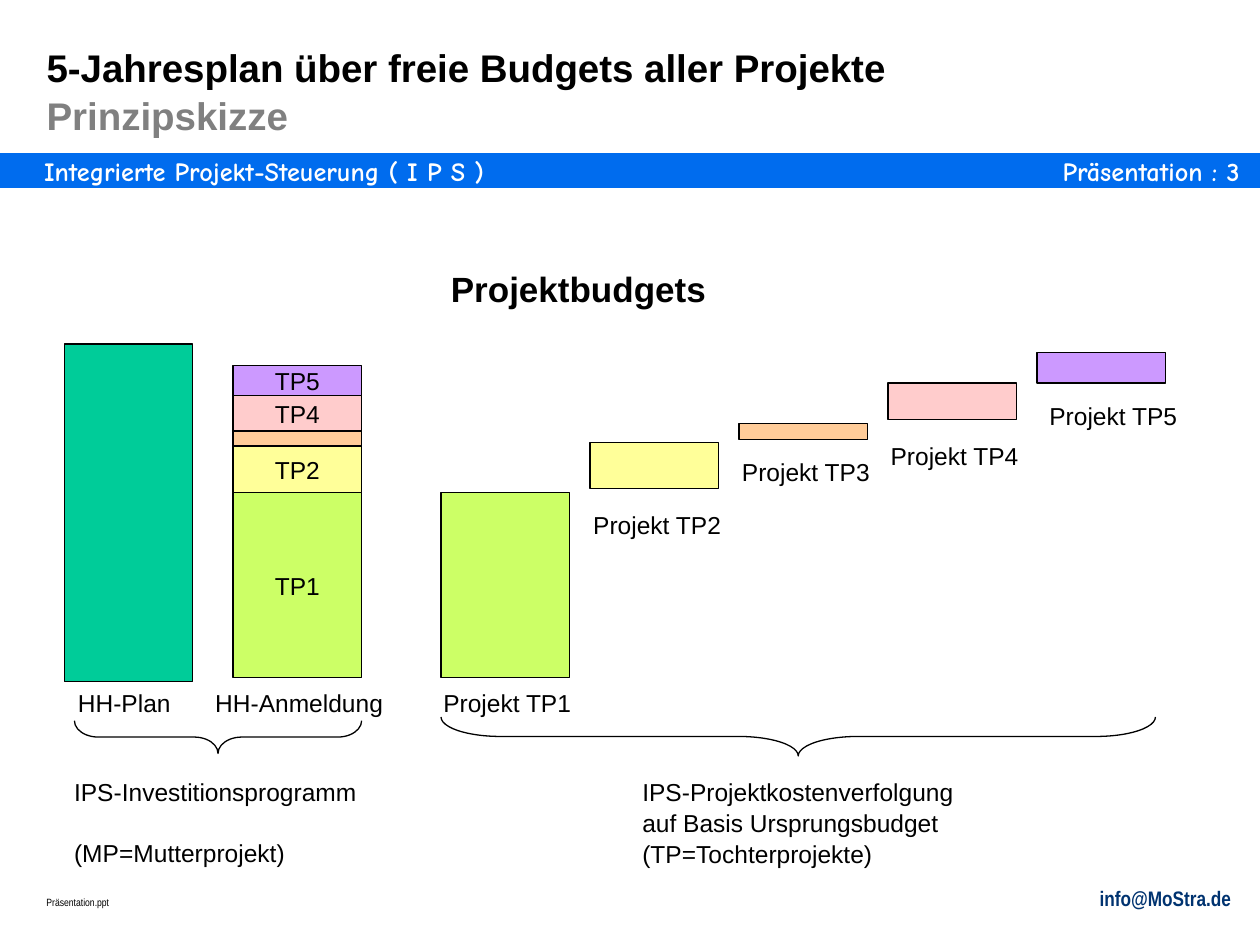
from pptx import Presentation
from pptx.dml.color import RGBColor
from pptx.enum.shapes import MSO_SHAPE
from pptx.enum.text import MSO_ANCHOR, MSO_AUTO_SIZE, PP_ALIGN
from pptx.util import Inches, Pt

COLORS = {
    "black": "000000", "gray": "808080", "white": "FFFFFF",
    "band": "006CEE", "contact": "003370", "plan": "00CC99",
    "TP1": "CCFF66", "TP2": "FFFF99", "TP3": "FFCC99",
    "TP4": "FFCCCC", "TP5": "CC99FF",
}

TITLE = ["5-Jahresplan über freie Budgets aller Projekte", "Prinzipskizze"]
BAND = (0, 1.23, 10, 0.25)

# text, (left, top, width, height), size, font, color, bold, alignment, margins
FRAME_TEXTS = [
    ("Integrierte Projekt-Steuerung ( I P S )", (0.35, 1.23, 9.65, 0.25),
     15, "Comic Neue", "white", True, PP_ALIGN.LEFT, (0, 0)),
    ("Präsentation : 3", (7.6, 1.23, 2.24, 0.25),
     15, "Comic Neue", "white", True, PP_ALIGN.RIGHT, (0, 0)),
    ("info@MoStra.de", (5.79, 6.98, 4.08, 0.3),
     12, "Arial Narrow", "contact", True, PP_ALIGN.RIGHT, (0.1, 0.05)),
    ("Präsentation.ppt", (0.27, 7.06, 4.08, 0.2),
     6, "Arial Narrow", "black", False, PP_ALIGN.LEFT, (0.1, 0.05)),
]

# project, height, top in the stack, top in the stairs, label left and top
PROJECTS = [
    ("TP1", 1.47, 3.91, 3.91, 3.42, 5.40),
    ("TP2", 0.37, 3.54, 3.51, 4.61, 3.99),
    ("TP3", 0.13, 3.41, 3.36, 5.79, 3.57),
    ("TP4", 0.29, 3.13, 3.04, 6.97, 3.44),
    ("TP5", 0.24, 2.90, 2.80, 8.23, 3.12),
]
UNLABELLED_IN_STACK = "TP3"
BAR_WIDTH = 1.02
PLAN_LEFT, STACK_LEFT, STAIRS_LEFT = 0.51, 1.85, 3.5
STAIR_STEP = 1.1825

BAR_LABELS = [
    ("HH-Plan", (0.52, 5.4, 0.93, 0.34)),
    ("HH-Anmeldung", (1.61, 5.4, 1.53, 0.34)),
]
# left, top, width, depth
BRACES = [(0.59, 5.72, 2.28, 0.26), (3.5, 5.69, 5.67, 0.31)]
# lines, box, space before the last line
EXPLANATIONS = [
    (["IPS-Investitionsprogramm", "(MP=Mutterprojekt)"],
     (0.49, 6.11, 2.44, 0.8), 16.9),
    (["IPS-Projektkostenverfolgung", "auf Basis Ursprungsbudget",
      "(TP=Tochterprojekte)"], (5, 6.11, 2.67, 0.8), 0),
]


def rgb(name):
    return RGBColor.from_string(COLORS[name])


def fill_frame(frame, lines, size=14, font="Arial", color="black", bold=False,
               align=PP_ALIGN.LEFT, margins=(0.1, 0.05), wrap=False,
               spacing=1.05):
    frame.text = "\n".join(lines)
    frame.word_wrap = wrap
    frame.auto_size = MSO_AUTO_SIZE.NONE
    frame.margin_left = frame.margin_right = Inches(margins[0])
    frame.margin_top = frame.margin_bottom = Inches(margins[1])
    frame.vertical_anchor = MSO_ANCHOR.TOP
    for paragraph in frame.paragraphs:
        paragraph.alignment = align
        paragraph.line_spacing = spacing
        paragraph.space_before = Pt(0)
        for run in paragraph.runs:
            run.font.size = Pt(size)
            run.font.name = font
            run.font.bold = bold
            run.font.color.rgb = rgb(color)


def add_text(slide, lines, box, **style):
    frame = slide.shapes.add_textbox(*map(Inches, box)).text_frame
    fill_frame(frame, lines, **style)
    return frame


def add_bar(slide, box, fill, line="black", line_width=0.75, label=None):
    bar = slide.shapes.add_shape(MSO_SHAPE.RECTANGLE, *map(Inches, box))
    bar.shadow.inherit = False
    bar.fill.solid()
    bar.fill.fore_color.rgb = rgb(fill)
    bar.line.color.rgb = rgb(line)
    bar.line.width = Pt(line_width)
    if label:
        fill_frame(bar.text_frame, [label], align=PP_ALIGN.CENTER)
        bar.text_frame.vertical_anchor = MSO_ANCHOR.MIDDLE


def add_brace(slide, left, top, width, depth):
    """Turn a right brace by 90 degrees so that it points down."""
    brace = slide.shapes.add_shape(
        MSO_SHAPE.RIGHT_BRACE,
        Inches(left + (width - depth) / 2), Inches(top - (width - depth) / 2),
        Inches(depth), Inches(width))
    brace.rotation = 90
    brace.adjustments[0] = width / 12 / depth
    brace.shadow.inherit = False
    brace.fill.background()
    brace.line.color.rgb = rgb("black")
    brace.line.width = Pt(0.75)


def main():
    prs = Presentation()
    prs.slide_width, prs.slide_height = Inches(10), Inches(7.5)
    slide = prs.slides.add_slide(prs.slide_layouts[5])

    title = slide.shapes.title
    title.left, title.top = Inches(0.27), Inches(0.28)
    title.width, title.height = Inches(9.29), Inches(0.84)
    fill_frame(title.text_frame, TITLE, size=22, bold=True, wrap=True)
    title.text_frame.paragraphs[1].runs[0].font.color.rgb = rgb("gray")

    add_bar(slide, BAND, "band", line="band", line_width=2)
    for text, box, size, font, color, bold, align, margins in FRAME_TEXTS:
        add_text(slide, [text], box, size=size, font=font, color=color,
                 bold=bold, align=align, margins=margins, wrap=True, spacing=1)

    add_text(slide, ["Projektbudgets"], (3.48, 2.06, 2.22, 0.44),
             size=20, bold=True)
    add_bar(slide, (PLAN_LEFT, 2.73, BAR_WIDTH, 2.68), "plan")
    for i, (project, height, stack_top, stair_top,
            label_left, label_top) in enumerate(PROJECTS):
        label = None if project == UNLABELLED_IN_STACK else project
        add_bar(slide, (STACK_LEFT, stack_top, BAR_WIDTH, height), project,
                label=label)
        add_bar(slide, (STAIRS_LEFT + i * STAIR_STEP, stair_top, BAR_WIDTH,
                        height), project)
        add_text(slide, [f"Projekt {project}"],
                 (label_left, label_top, 1.22, 0.34))

    for text, box in BAR_LABELS:
        add_text(slide, [text], box)
    for brace in BRACES:
        add_brace(slide, *brace)
    for lines, box, gap in EXPLANATIONS:
        frame = add_text(slide, lines, box)
        frame.paragraphs[-1].space_before = Pt(gap)

    prs.save("out.pptx")


if __name__ == "__main__":
    main()
